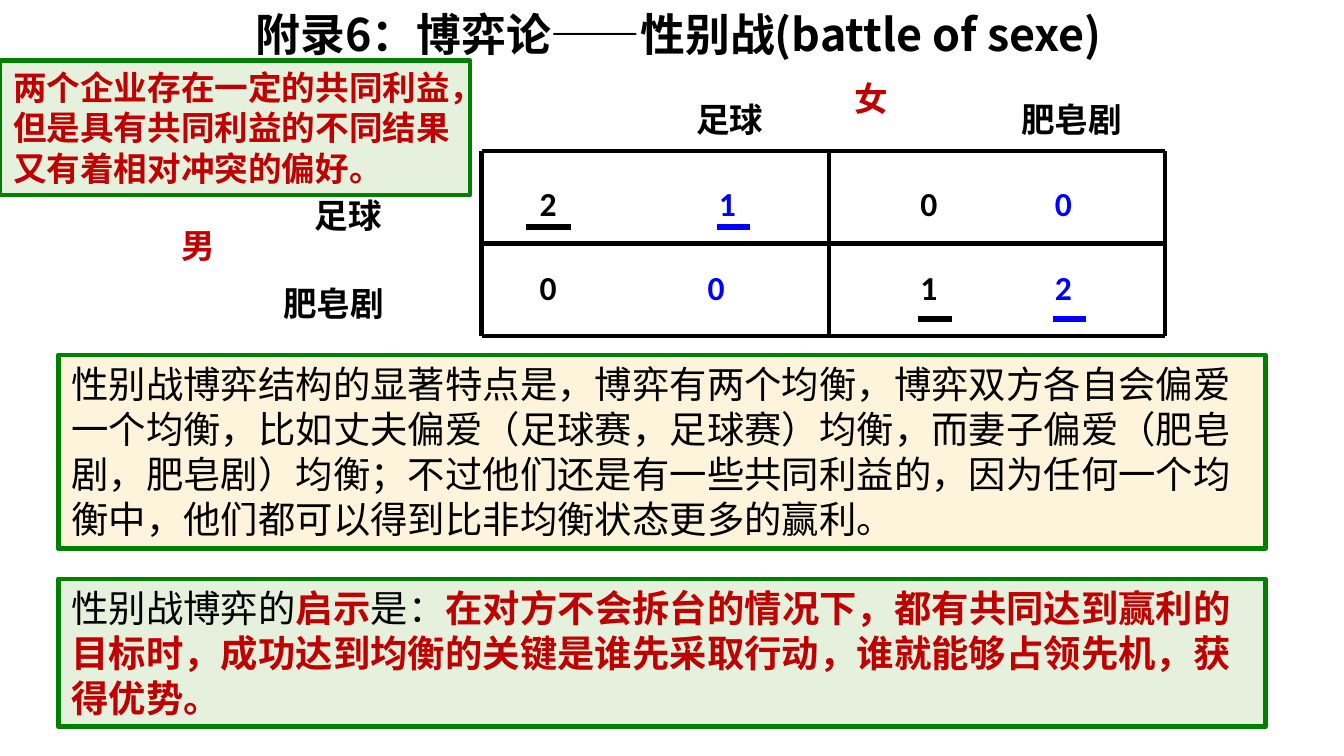
from lxml import etree
from pptx import Presentation, util as u
from pptx.dml.color import RGBColor
from pptx.enum import shapes, text
from pptx.oxml import ns

COLORS = {"black": "000000", "red": "C00000", "blue": "0000FF",
          "green": "008000", "mint": "E5F0DD", "cream": "FEF3DB"}
SANS, LATIN = "Noto Sans CJK SC", "Calibri"
COLUMNS, ROWS = 120, 67.5  # square grid cells, a twelfth of an inch


def color(name):
    return RGBColor.from_string(COLORS[name])


def add_span(para, words, size=18, font=LATIN, ink="black", bold=True):
    span = para.add_run()
    span.text = words
    span.font.size = u.Pt(size)
    span.font.name = font
    span.font.bold = bold
    span.font.color.rgb = color(ink)
    east_asian = etree.SubElement(span.font._element, ns.qn("a:ea"))
    east_asian.set("typeface", SANS)


class Board:
    """Holds the deck and its current page; lengths are grid columns and rows."""

    def __init__(self):
        self.deck = Presentation()
        self.deck.slide_width, self.deck.slide_height = u.Inches(10), u.Inches(5.625)
        self.page = self.deck.slides.add_slide(self.deck.slide_layouts[5])

    def grid(self, *cells):
        """Turn alternating columns and rows into slide lengths."""
        steps = (self.deck.slide_width / COLUMNS, self.deck.slide_height / ROWS)
        return [round(cell * steps[i % 2]) for i, cell in enumerate(cells)]

    def title(self, words, *place):
        box = self.page.shapes.title
        box.left, box.top, box.width, box.height = self.grid(*place)
        frame = box.text_frame
        frame.auto_size = text.MSO_AUTO_SIZE.NONE
        frame.vertical_anchor = text.MSO_ANCHOR.MIDDLE
        para = frame.paragraphs[0]
        para.alignment = text.PP_ALIGN.CENTER
        add_span(para, words, size=24, font=SANS)

    def label(self, words, column, row, width=12, **style):
        box = self.page.shapes.add_textbox(*self.grid(column, row, width, 4.8))
        box.text_frame.word_wrap = True
        add_span(box.text_frame.paragraphs[0], words, **style)

    def line(self, *ends, ink="black", weight=2.25):
        line = self.page.shapes.add_connector(
            shapes.MSO_CONNECTOR.STRAIGHT, *self.grid(*ends))
        line.line.color.rgb = color(ink)
        line.line.width = u.Pt(weight)
        etree.SubElement(line._element.spPr, ns.qn("a:effectLst"))

    def panel(self, spans, *place, fill="mint", weight=2.5):
        """Draw a framed box; spans are pairs of words and their format."""
        box = self.page.shapes.add_shape(
            shapes.MSO_SHAPE.RECTANGLE, *self.grid(*place))
        box.shadow.inherit = False
        box.fill.solid()
        box.fill.fore_color.rgb = color(fill)
        box.line.color.rgb = color("green")
        box.line.width = u.Pt(weight)
        frame = box.text_frame
        frame.word_wrap = True
        frame.vertical_anchor = text.MSO_ANCHOR.TOP
        para = frame.paragraphs[0]
        para.alignment = text.PP_ALIGN.LEFT
        for words, style in spans:
            add_span(para, words, **style)


def add_payoff_matrix(board):
    left, middle, right = 43, 74, 104
    top, center, bottom = 13.5, 21.75, 30
    for row in (top, center, bottom):
        board.line(left, row, right, row)
    for column in (left, middle, right):
        board.line(column, top, column, bottom)

    board.label("男", 15, 19.5, ink="red")
    board.label("足球", 26.9, 16.8)
    board.label("肥皂剧", 24.1, 24.7, 19)
    board.label("女", 75.1, 6.4, ink="red")
    board.label("足球", 61, 8.25)
    board.label("肥皂剧", 90, 8.25, 18)

    payoffs = [  # row, then column and value for each cell's two players
        (15.75, [(47, "2"), (63, "1"), (81, "0"), (93, "0")]),
        (23.25, [(47, "0"), (62, "0"), (81, "1"), (93, "2")]),
    ]
    for row, values in payoffs:
        for i, (column, value) in enumerate(values):
            board.label(value, column, row, 9, ink=("black", "blue")[i % 2])

    best_replies = [(47, 51, 20.25, "black"), (64, 67, 20.25, "blue"),
                    (82, 85, 28.5, "black"), (94, 97, 28.5, "blue")]
    for start, end, row, ink in best_replies:
        board.line(start, row, end, row, ink=ink, weight=3)


def main():
    board = Board()
    board.title("附录6：博弈论——性别战(battle of sexe)", 14.6, 0, 92, 6)
    add_payoff_matrix(board)

    plain = dict(size=20, font=SANS, bold=False)
    strong = dict(size=20, font=SANS, ink="red")
    board.panel([(
        "性别战博弈结构的显著特点是，博弈有两个均衡，博弈双方各自会偏爱一个均衡，"
        "比如丈夫偏爱（足球赛，足球赛）均衡，而妻子偏爱（肥皂剧，肥皂剧）均衡；"
        "不过他们还是有一些共同利益的，因为任何一个均衡中，"
        "他们都可以得到比非均衡状态更多的赢利。", plain)],
        5.2, 31.7, 107.8, 17.3, fill="cream")
    board.panel([
        ("性别战博弈的", plain), ("启示", strong), ("是：", plain),
        ("在对方不会拆台的情况下，都有共同达到赢利的目标时，"
         "成功达到均衡的关键是谁先采取行动，谁就能够占领先机，获得优势。", strong)],
        5.2, 51.7, 107.8, 13.2)
    board.panel([(
        "两个企业存在一定的共同利益，但是具有共同利益的不同结果又有着相对冲突的偏好。",
        dict(ink="red"))], 0, 5.4, 42, 12, weight=2.25)
    board.deck.save("out.pptx")


if __name__ == "__main__":
    main()
